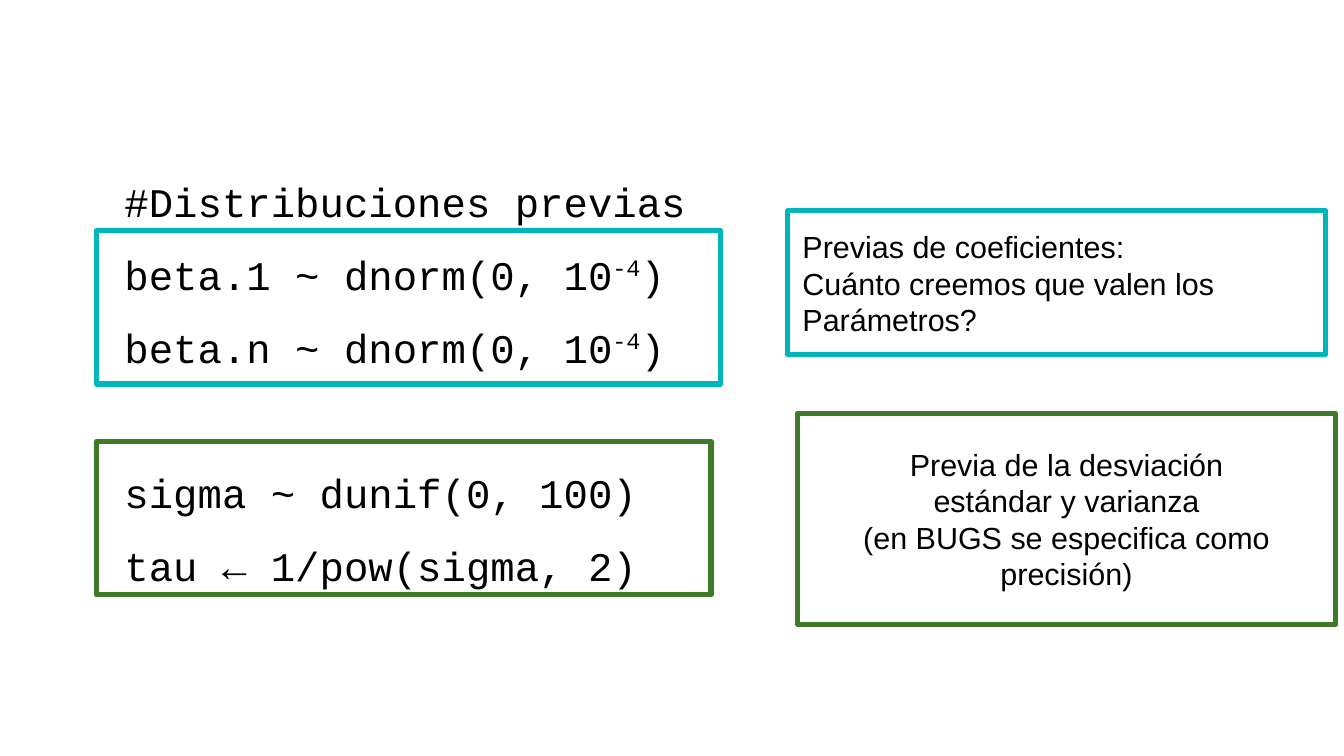
from dataclasses import dataclass

from pptx import Presentation
from pptx.dml.color import RGBColor
from pptx.enum.shapes import MSO_SHAPE
from pptx.enum.text import MSO_ANCHOR, PP_ALIGN
from pptx.slide import Slide
from pptx.text.text import TextFrame
from pptx.util import Inches, Pt

BLACK = RGBColor(0x00, 0x00, 0x00)
TEAL = RGBColor(0x00, 0xB6, 0xBD)
GREEN = RGBColor(0x40, 0x79, 0x27)
LEFT, CENTER = PP_ALIGN.LEFT, PP_ALIGN.CENTER
TOP, MIDDLE = MSO_ANCHOR.TOP, MSO_ANCHOR.MIDDLE
RECTANGLE = MSO_SHAPE.RECTANGLE
BLANK_LAYOUT = 6


@dataclass(frozen=True)
class Span:
    text: str
    superscript: bool = False


@dataclass(frozen=True)
class Line:
    spans: tuple[Span, ...]
    space_before: float = 0


@dataclass(frozen=True)
class Frame:
    left: float
    top: float
    width: float
    height: float
    color: RGBColor
    lines: tuple[str, ...] = ()
    align: PP_ALIGN = LEFT


CODE_GAP = 14.2
SECTION_GAP = 57.2
EXPONENT = Span("-4", superscript=True)
CODE = (
    Line((Span("#Distribuciones previas"),)),
    *(Line((Span(f"beta.{index} ~ dnorm(0, 10"), EXPONENT, Span(")")), CODE_GAP)
      for index in ("1", "n")),
    Line((Span("sigma ~ dunif(0, 100)"),), SECTION_GAP),
    Line((Span("tau ← 1/pow(sigma, 2)"),), CODE_GAP),
)

FRAMES = (
    Frame(6.46, 1.73, 4.41, 1.18, TEAL,
          ("Previas de coeficientes:", "Cuánto creemos que valen los", "Parámetros?")),
    Frame(0.79, 1.89, 5.12, 1.26, TEAL),
    Frame(6.54, 3.39, 4.41, 1.73, GREEN,
          ("Previa de la desviación", "estándar y varianza",
           "(en BUGS se especifica como", "precisión)"), CENTER),
    Frame(0.79, 3.62, 5.04, 1.26, GREEN),
)


def write_text(text_frame: TextFrame, lines: tuple[Line, ...], *, font: str, size: float,
               align: PP_ALIGN = LEFT, anchor: MSO_ANCHOR = TOP,
               margin_x: float = 0, margin_y: float = 0) -> None:
    text_frame.word_wrap = True
    text_frame.vertical_anchor = anchor
    text_frame.margin_left = text_frame.margin_right = Inches(margin_x)
    text_frame.margin_top = text_frame.margin_bottom = Inches(margin_y)
    for number, line in enumerate(lines):
        para = text_frame.add_paragraph() if number else text_frame.paragraphs[0]
        para.alignment = align
        para.space_before = Pt(line.space_before)
        for span in line.spans:
            run = para.add_run()
            run.text = span.text
            run.font.name = font
            run.font.size = Pt(size)
            run.font.color.rgb = BLACK
            if span.superscript:
                run.font._element.set("baseline", "33000")


def add_code(page: Slide) -> None:
    box = page.shapes.add_textbox(Inches(0.55), Inches(1.45), Inches(9.92), Inches(3.6))
    write_text(box.text_frame, CODE, font="Courier New", size=24, margin_x=0.47)


def add_frame(page: Slide, frame: Frame) -> None:
    box = page.shapes.add_shape(RECTANGLE, Inches(frame.left), Inches(frame.top),
                                Inches(frame.width), Inches(frame.height))
    box.shadow.inherit = False
    box.fill.background()
    box.line.color.rgb = frame.color
    box.line.width = Pt(3)
    if frame.lines:
        lines = tuple(Line((Span(text),)) for text in frame.lines)
        write_text(box.text_frame, lines, font="Arial", size=18, align=frame.align,
                   anchor=MIDDLE, margin_x=0.12, margin_y=0.07)


def main() -> None:
    deck = Presentation()
    deck.slide_width = Inches(11.02)
    deck.slide_height = Inches(6.2)
    page = deck.slides.add_slide(deck.slide_layouts[BLANK_LAYOUT])
    add_code(page)
    for frame in FRAMES:
        add_frame(page, frame)
    deck.save("out.pptx")


if __name__ == "__main__":
    main()
